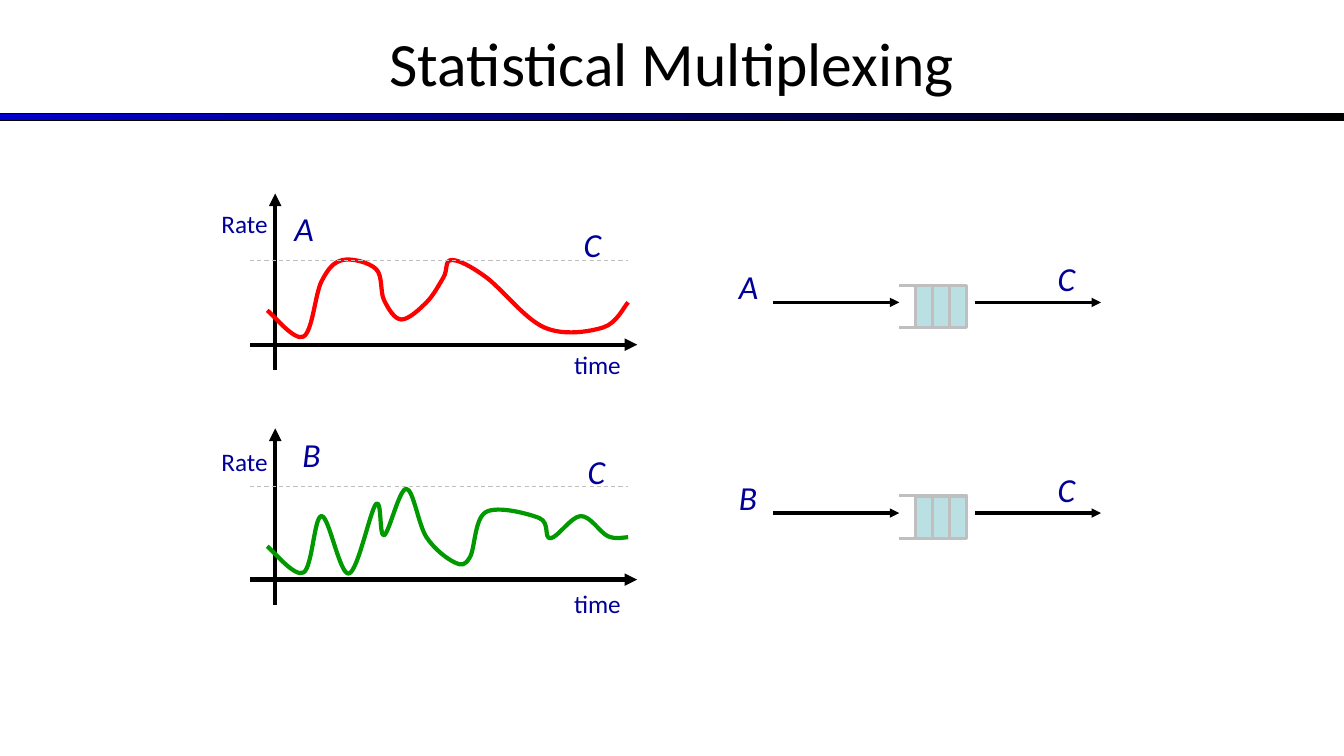
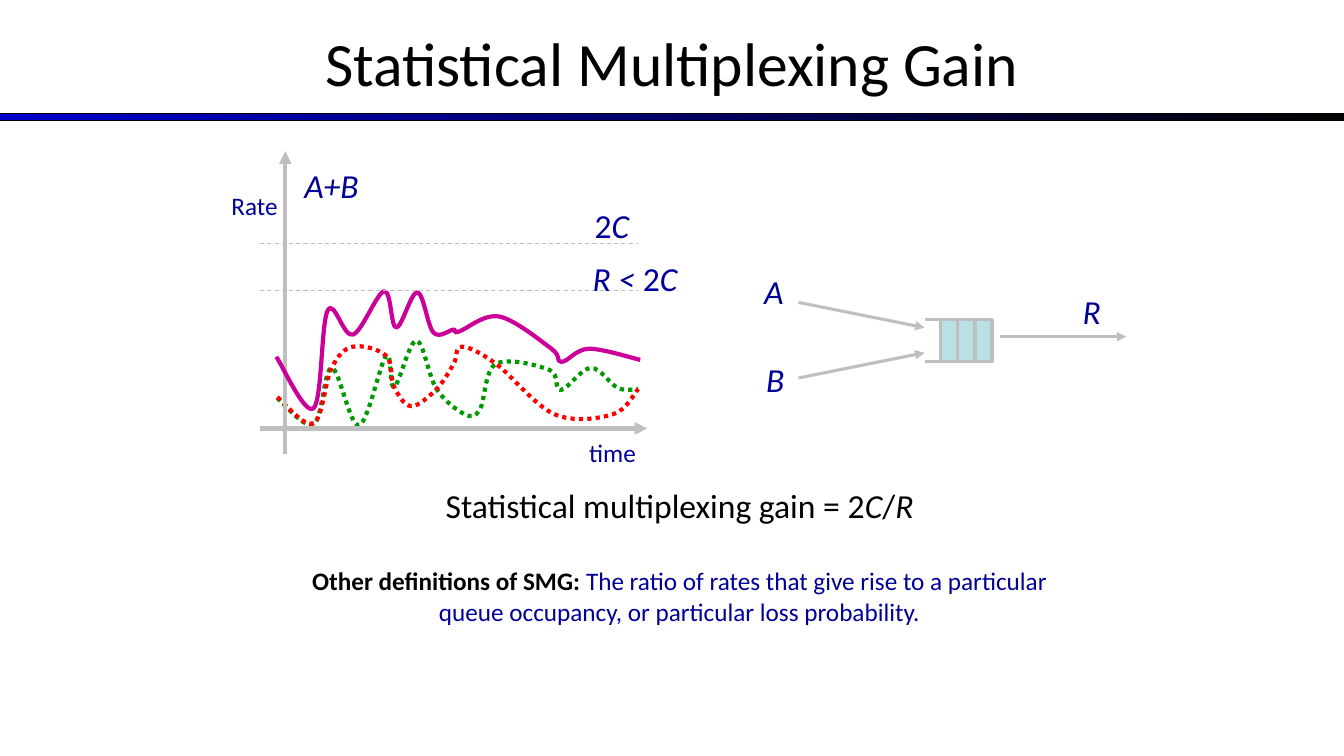
from lxml import etree
from pptx import Presentation
from pptx.dml.color import RGBColor
from pptx.enum.dml import MSO_LINE
from pptx.enum.shapes import MSO_CONNECTOR, MSO_SHAPE
from pptx.enum.text import MSO_ANCHOR, MSO_AUTO_SIZE, PP_ALIGN
from pptx.oxml.ns import qn
from pptx.util import Pt

PX = 9144  # EMU, 100 px to the inch
WIDTH, HEIGHT = 1333, 750
TITLE_ONLY = 5

STRAIGHT = MSO_CONNECTOR.STRAIGHT
RECTANGLE = MSO_SHAPE.RECTANGLE
DASH, DOTS = MSO_LINE.DASH, MSO_LINE.ROUND_DOT
MIDDLE = MSO_ANCHOR.MIDDLE
GROW = MSO_AUTO_SIZE.SHAPE_TO_FIT_TEXT
LEFT, CENTER = PP_ALIGN.LEFT, PP_ALIGN.CENTER

BLACK = RGBColor(0x00, 0x00, 0x00)
BLUE = RGBColor(0x00, 0x00, 0xCC)
NAVY = RGBColor(0x00, 0x00, 0x99)
GRAY = RGBColor(0xBF, 0xBF, 0xBF)
PALE_BLUE = RGBColor(0xBB, 0xE0, 0xE3)
RED = RGBColor(0xFF, 0x00, 0x00)
GREEN = RGBColor(0x00, 0x99, 0x00)
MAGENTA = RGBColor(0xCC, 0x00, 0x99)

HEADING = {"size": Pt(44), "color": BLACK}
SYMBOL = {"size": Pt(24), "color": NAVY, "italic": True}
NUMBER = {**SYMBOL, "italic": False}
AXIS_NAME = {"size": Pt(18), "color": NAVY}
FORMULA = {"size": Pt(24), "color": BLACK}
FORMULA_SYMBOL = {**FORMULA, "italic": True}
TERM = {"size": Pt(18), "color": BLACK, "bold": True}

# Knots of the rate curves, relative to their first point
RATE_A = [(0, 0), (36, 26), (54, -29), (75, -50), (108, -41), (116, -10),
          (133, 9), (158, -8), (175, -33), (183, -50), (217, -33),
          (275, 17), (333, 17), (358, -8)]
RATE_B = [(0, 0), (36, 26), (54, -30), (81, 27), (108, -42), (116, -11),
          (138, -57), (158, -9), (186, 16), (201, 11), (217, -34),
          (270, -28), (281, -8), (311, -30), (338, -10), (358, -9)]
RATE_SUM = [(0, 0), (37, 51), (51, -46), (76, -22), (107, -65), (119, -29),
            (140, -64), (156, -24), (176, -27), (181, -25), (221, -40),
            (273, -8), (283, 5), (310, -8), (361, 3)]


def spline_points(knots):
    """Return two control points and the end point for each span of a smooth curve."""
    padded = [knots[0], *knots, knots[-1]]
    points = []
    for before, start, end, after in zip(padded, padded[1:], padded[2:], padded[3:]):
        points.append(tuple(s + (e - b) / 6 for b, s, e in zip(before, start, end)))
        points.append(tuple(e - (a - s) / 6 for s, e, a in zip(start, end, after)))
        points.append(end)
    return points


class Deck:
    def __init__(self):
        self.prs = Presentation()
        self.prs.slide_width, self.prs.slide_height = WIDTH * PX, HEIGHT * PX
        self.slide = None

    def new_slide(self, heading):
        first = self.slide is None
        self.slide = self.prs.slides.add_slide(self.prs.slide_layouts[TITLE_ONLY])
        if first:
            self.band_on_master()
        title = self.slide.shapes.title
        self.place(title, 0, 0, WIDTH, 122)
        title.text_frame.vertical_anchor = MIDDLE
        self.add_runs(title.text_frame.paragraphs[0], [(heading, HEADING)], CENTER)

    def band_on_master(self):
        """Draw the gradient band and move it to the master, behind its placeholders."""
        band = self.box(self.slide.shapes, 0, 113, WIDTH, 7, BLACK, 0.75)
        band.fill.gradient()
        band.fill.gradient_angle = 0
        for stop, color, position in zip(band.fill.gradient_stops, (BLUE, BLACK), (0, 1)):
            stop.color.rgb = color
            stop.position = position
        band.element.nvSpPr.cNvPr.set("id", "20")
        self.prs.slide_master.shapes.element.insert(2, band.element)

    @staticmethod
    def place(shape, left, top, width, height):
        frame = {"left": left, "top": top, "width": width, "height": height}
        for side, length in frame.items():
            setattr(shape, side, length * PX)

    @staticmethod
    def stroke(shape, color, weight, dash=None):
        shape.line.color.rgb = color
        shape.line.width = Pt(weight)
        if dash:
            shape.line.dash_style = dash

    @staticmethod
    def add_runs(paragraph, runs, align):
        paragraph.alignment = align
        for text, style in runs:
            run = paragraph.add_run()
            run.text = text
            run.font.name = "Calibri"
            for key, value in style.items():
                if key == "color":
                    run.font.color.rgb = value
                else:
                    setattr(run.font, key, value)

    def box(self, shapes, left, top, width, height, color, weight):
        box = shapes.add_shape(RECTANGLE, *(n * PX for n in (left, top, width, height)))
        box.shadow.inherit = False
        self.stroke(box, color, weight)
        return box

    def line(self, start, end, color, weight, dash=None, arrow=False, shapes=None):
        shapes = shapes or self.slide.shapes
        line = shapes.add_connector(STRAIGHT, *(n * PX for n in (*start, *end)))
        self.stroke(line, color, weight, dash)
        properties = line.element.spPr
        if arrow:
            etree.SubElement(properties.find(qn("a:ln")), qn("a:tailEnd"), type="triangle")
        etree.SubElement(properties, qn("a:effectLst"))

    def curve(self, left, top, knots, color, dash=None):
        knots = [((left + x) * PX, (top + y) * PX) for x, y in knots]
        builder = self.slide.shapes.build_freeform(*knots[0])
        builder.add_line_segments(spline_points(knots), close=False)
        curve = builder.convert_to_shape()
        curve.fill.background()
        curve.shadow.inherit = False
        self.stroke(curve, color, 3, dash)
        outline = curve.element.find(".//" + qn("a:path"))
        segments = outline.findall(qn("a:lnTo"))
        for span in zip(*[iter(segments)] * 3):
            bezier = etree.SubElement(outline, qn("a:cubicBezTo"))
            for segment in span:
                bezier.append(segment[0])
                outline.remove(segment)

    def text(self, left, top, width, height, paragraphs, align=LEFT, wrap=False, gap=0):
        box = self.slide.shapes.add_textbox(*(n * PX for n in (left, top, width, height)))
        frame = box.text_frame
        frame.word_wrap = wrap
        frame.auto_size = GROW
        for index, runs in enumerate(paragraphs):
            paragraph = frame.add_paragraph() if index else frame.paragraphs[0]
            if index:
                paragraph.space_before = Pt(gap)
            self.add_runs(paragraph, runs, align)

    def symbol(self, left, top, name, width=38):
        self.text(left, top, width, 50, [[(name, SYMBOL)]])

    def axes(self, left, base, height, color):
        self.line((left, base + 25), (left, base - height), color, 3, arrow=True)
        self.line((left - 25, base), (left + 359, base), color, 3, arrow=True)

    def axis_names(self, rate_at, time_at):
        for (left, top), name in ((rate_at, "Rate"), (time_at, "time")):
            self.text(left, top, 67, 40, [[(name, AXIS_NAME)]], CENTER)

    def limit(self, axis, top):
        self.line((axis - 25, top), (axis + 350, top), GRAY, 0.75, DASH)

    def queue(self, left, top, color, inputs):
        """Draw a queue with one output; inputs pairs the start and end heights of arrows."""
        for start, end in inputs:
            self.line((left - 125, start), (left, end), color, 2.25, arrow=True)
        parts = self.slide.shapes.add_group_shape().shapes
        for offset in (16, 33, 50):
            cell = self.box(parts, left + offset, top, 17, 42, GRAY, 2.25)
            cell.fill.solid()
            cell.fill.fore_color.rgb = PALE_BLUE
        for edge in (top, top + 42):
            self.line((left, edge), (left + 33, edge), GRAY, 2.25, shapes=parts)
        self.line((left + 75, top + 17), (left + 200, top + 17), color, 2.25, arrow=True)


def separate_links(deck):
    deck.new_slide("Statistical Multiplexing")
    flows = [
        # name, base, knots, color, curve top, limit, name at, limit name at, Rate, time, queue
        ("A", 342, RATE_A, RED, 308, 258, (282, 201), (569, 217), 202, 342, 283),
        ("B", 575, RATE_B, GREEN, 542, 483, (290, 426), (573, 442), 438, 579, 492),
    ]
    for name, base, knots, color, top, limit, name_at, limit_at, rate, time, queue in flows:
        deck.axes(273, base, 150, BLACK)
        deck.curve(265, top, knots, color)
        deck.limit(273, limit)
        deck.symbol(*name_at, name)
        deck.symbol(*limit_at, "C")
        deck.axis_names((209, rate), (559, time))
        deck.queue(892, queue, BLACK, [(queue + 17, queue + 17)])
        deck.symbol(723, queue - 24, name)
        deck.symbol(1039, queue - 32, "C")


def shared_link(deck):
    deck.new_slide("Statistical Multiplexing Gain")
    deck.queue(917, 317, GRAY, [(300, 325), (375, 350)])
    for left, top, name in ((748, 264, "A"), (750, 351, "B"), (1064, 284, "R")):
        deck.symbol(left, top, name)
    deck.curve(275, 395, RATE_B, GREEN, DOTS)
    deck.curve(275, 394, RATE_A, RED, DOTS)
    deck.axes(283, 425, 275, GRAY)
    deck.curve(274, 354, RATE_SUM, MAGENTA)
    for top in (288, 242):
        deck.limit(283, top)
    deck.text(580, 198, 54, 50, [[("2", NUMBER), ("C", SYMBOL)]])
    deck.text(578, 251, 104, 50, [[("R < ", SYMBOL), ("2", NUMBER), ("C", SYMBOL)]])
    deck.symbol(292, 159, "A+B", 74)
    deck.axis_names((219, 184), (574, 429))
    gain = [("Statistical multiplexing gain = 2", FORMULA), ("C", FORMULA_SYMBOL),
            ("/", FORMULA), ("R", FORMULA_SYMBOL)]
    definition = [("Other definitions of SMG: ", TERM),
                  ("The ratio of rates that give rise to a particular queue occupancy, "
                   "or particular loss probability.", AXIS_NAME)]
    deck.text(278, 476, 792, 151, [gain, definition], CENTER, wrap=True, gap=29)


def main():
    deck = Deck()
    separate_links(deck)
    shared_link(deck)
    deck.prs.save("out.pptx")


if __name__ == "__main__":
    main()
